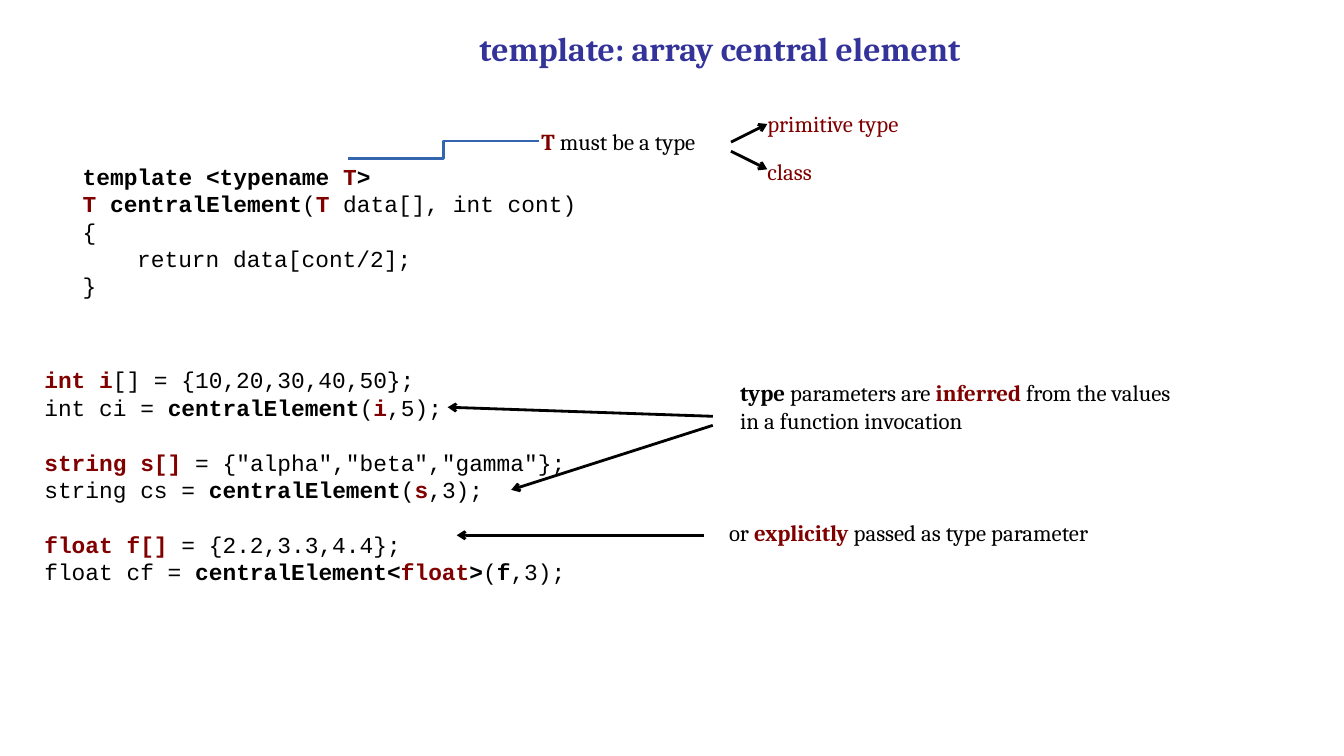
from lxml.etree import SubElement
from pptx import Presentation
from pptx.dml.color import RGBColor
from pptx.enum.shapes import MSO_CONNECTOR
from pptx.enum.text import MSO_ANCHOR, PP_ALIGN
from pptx.oxml.ns import qn
from pptx.util import Inches, Pt

BLACK = RGBColor(0x00, 0x00, 0x00)
MAROON = RGBColor(0x80, 0x00, 0x00)
NAVY = RGBColor(0x33, 0x33, 0x99)
BLUE = RGBColor(0x34, 0x65, 0xAF)

PROSE_FONT = "Cambria"
CODE_FONT = "Courier New"
TEXT_SIZE = Pt(16.3)
LINE_PITCH = Pt(19.6)
CODE_INDENT = Inches(0.54)

# Style of a run: (colour, bold)
PLAIN = (BLACK, False)
BOLD = (BLACK, True)
KEY = (MAROON, True)
RED = (MAROON, False)


def add_text(slide, left, top, width, height, lines, font=PROSE_FONT):
    """Add left-aligned lines, each a list of (text, style) runs; an empty line is a gap."""
    box = slide.shapes.add_textbox(Inches(left), Inches(top), Inches(width), Inches(height))
    frame = box.text_frame
    frame.word_wrap = True
    frame.margin_left = frame.margin_right = Inches(0.09)
    frame.margin_top = frame.margin_bottom = Inches(0.04)
    para, gap = None, False
    for line in lines:
        if not line:
            gap = True
            continue
        para = frame.add_paragraph() if para else frame.paragraphs[0]
        para.line_spacing = LINE_PITCH
        if gap:
            para.space_before = LINE_PITCH
            gap = False
        for text, (color, bold) in line:
            span = para.add_run()
            span.text = text
            span.font.name = font
            span.font.size = TEXT_SIZE
            span.font.bold = bold
            span.font.color.rgb = color
    return box


def add_line(slide, start, end, kind=MSO_CONNECTOR.STRAIGHT, color=BLACK, arrow=True):
    line = slide.shapes.add_connector(kind, *(Inches(value) for value in (*start, *end)))
    line.line.color.rgb = color
    line.line.width = Pt(0)
    if arrow:
        SubElement(line.line._get_or_add_ln(), qn("a:tailEnd"), type="arrow")
    SubElement(line._element.spPr, qn("a:effectLst"))


def add_title(slide, left, top, width, height):
    box = slide.shapes.add_textbox(Inches(left), Inches(top), Inches(width), Inches(height))
    frame = box.text_frame
    frame.word_wrap = True
    frame.vertical_anchor = MSO_ANCHOR.MIDDLE
    frame.margin_top = frame.margin_bottom = 0
    frame.text = "template: array central element"
    para = frame.paragraphs[0]
    para.alignment = PP_ALIGN.CENTER
    font = para.runs[0].font
    font.name = PROSE_FONT
    font.size = Pt(24)
    font.bold = True
    font.color.rgb = NAVY


def add_definition(slide, left, top, width, height):
    box = add_text(slide, left, top, width, height, [
        [("template <typename ", BOLD), ("T", KEY), (">", BOLD)],
        [("T ", KEY), ("centralElement", BOLD), ("(", PLAIN), ("T", KEY),
         (" data[], int cont)", PLAIN)],
        [("{", PLAIN)],
        [("return data[cont/2];", PLAIN)],
        [("}", PLAIN)],
    ], CODE_FONT)
    body = box.text_frame.paragraphs[3]
    body._p.get_or_add_pPr().set("marL", str(CODE_INDENT))


def add_type_note(slide, left, top, width, height):
    """Note on T, tied to the definition and branching into the kinds of type."""
    add_text(slide, left, top, width, height, [[("T", KEY), (" must be a type", PLAIN)]])
    right, middle = left + width, top + 0.225
    for label, label_width, side in (("primitive type", 1.68, -1), ("class", 0.69, 1)):
        label_top = middle - 0.17 + side * 0.235
        add_text(slide, right + 0.27, label_top, label_width, height, [[(label, RED)]])
        add_line(slide, (right, middle + side * 0.045),
                 (right + 0.36, middle + side * 0.225))
    add_line(slide, (left + 0.07, top + 0.17), (left - 1.83, top + 0.34),
             MSO_CONNECTOR.ELBOW, BLUE, arrow=False)


def add_calls(slide, left, top, width, height):
    add_text(slide, left, top, width, height, [
        [("int i", KEY), ("[] = {10,20,30,40,50};", PLAIN)],
        [("int ci = ", PLAIN), ("centralElement", BOLD), ("(", PLAIN), ("i", KEY),
         (",5);", PLAIN)],
        [],
        [("string s[]", KEY), (' = {"alpha","beta","gamma"};', PLAIN)],
        [("string cs = ", PLAIN), ("centralElement", BOLD), ("(", PLAIN), ("s", KEY),
         (",3);", PLAIN)],
        [],
        [("float f[]", KEY), (" = {2.2,3.3,4.4};", PLAIN)],
        [("float cf = ", PLAIN), ("centralElement<", BOLD), ("float", KEY), (">", BOLD),
         ("(", PLAIN), ("f", BOLD), (",3);", PLAIN)],
    ], CODE_FONT)


def add_inferred_note(slide, left, top, width, height):
    add_text(slide, left, top, width, height, [
        [("type", BOLD), (" parameters are ", PLAIN), ("inferred", KEY),
         (" from the values", PLAIN)],
        [("in a function invocation", PLAIN)],
    ])
    add_line(slide, (left - 0.18, top + 0.41), (left - 2.81, top + 0.32))
    add_line(slide, (left - 0.18, top + 0.5), (left - 2.18, top + 1.14))


def add_explicit_note(slide, left, top, width, height):
    add_text(slide, left, top, width, height, [
        [("or ", PLAIN), ("explicitly", KEY), (" passed as type parameter", PLAIN)],
    ])
    add_line(slide, (left - 0.16, top + 0.2), (left - 2.61, top + 0.2))


def main():
    deck = Presentation()
    deck.slide_width = Inches(13.33)
    deck.slide_height = Inches(7.5)
    slide = deck.slides.add_slide(deck.slide_layouts[6])
    add_title(slide, 3.73, 0.23, 6.82, 0.5)
    add_definition(slide, 0.73, 1.57, 5.42, 1.59)
    add_type_note(slide, 5.28, 1.23, 1.97, 0.37)
    add_calls(slide, 0.35, 3.59, 7.17, 2.63)
    add_inferred_note(slide, 7.25, 3.72, 5.21, 0.64)
    add_explicit_note(slide, 7.14, 5.11, 4.35, 0.37)
    deck.save("out.pptx")


if __name__ == "__main__":
    main()
